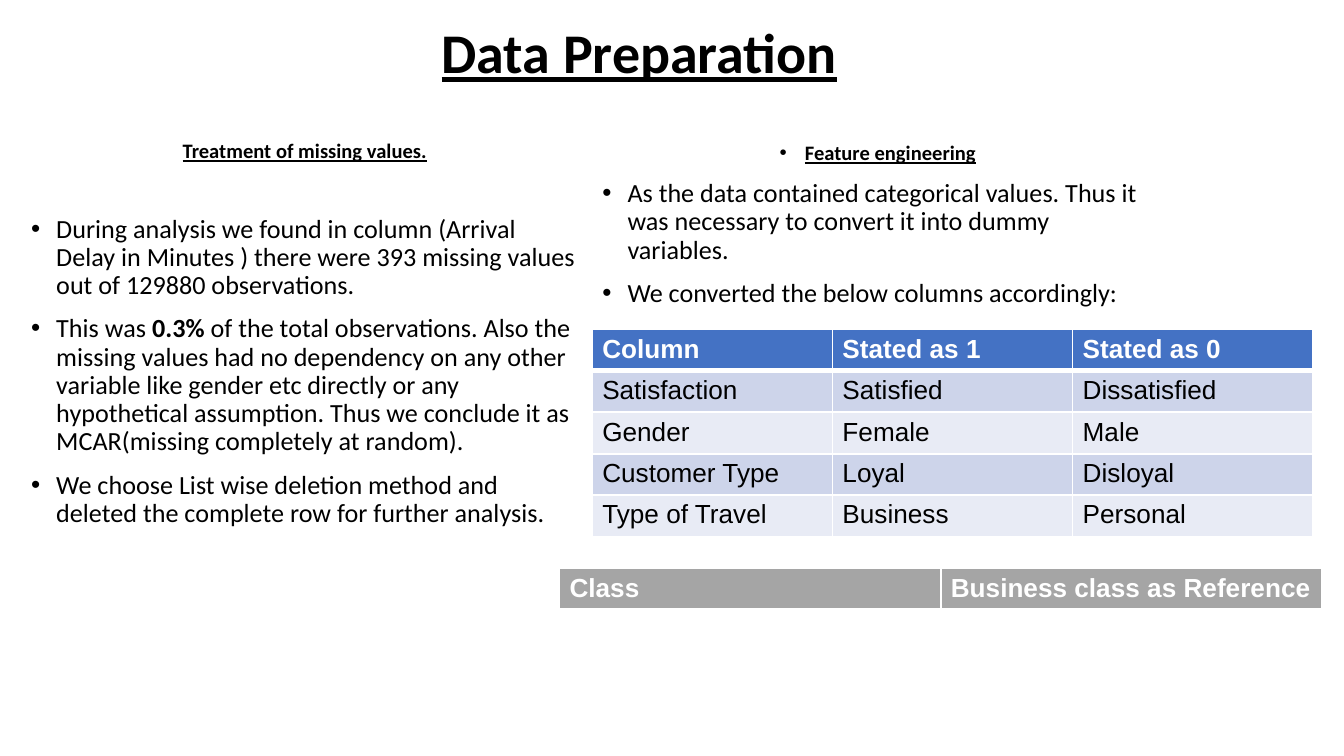
from lxml.etree import SubElement
from pptx import Presentation
from pptx.dml.color import RGBColor
from pptx.enum.text import MSO_ANCHOR as ANCHOR, PP_ALIGN as ALIGN
from pptx.oxml.ns import qn
from pptx.util import Emu, Pt

PX = 5715  # 160 px to the inch
BLACK = RGBColor(0x00, 0x00, 0x00)
WHITE = RGBColor(0xFF, 0xFF, 0xFF)
BLUE = RGBColor(0x44, 0x72, 0xC4)
BAND_DARK = RGBColor(0xCD, 0xD4, 0xEA)
BAND_LIGHT = RGBColor(0xE8, 0xEB, 0xF5)
GRAY = RGBColor(0xA5, 0xA5, 0xA5)

MISSING_VALUES = [
    "During analysis we found in column (Arrival Delay in Minutes ) there were "
    "393 missing values out of 129880 observations.",
    "This was **0.3%** of the total observations. Also the missing values had no "
    "dependency on any other variable like gender etc directly or any hypothetical "
    "assumption. Thus we conclude it as MCAR(missing completely at random).",
    "We choose List wise deletion method and deleted the complete row for "
    "further analysis.",
]
FEATURES = [
    "As the data contained categorical values. Thus it was necessary to convert "
    "it into dummy variables.",
    "We converted the below columns accordingly:",
]
CODING = [
    ["Column", "Stated as 1", "Stated as 0"],
    ["Satisfaction", "Satisfied", "Dissatisfied"],
    ["Gender", "Female", "Male"],
    ["Customer Type", "Loyal", "Disloyal"],
    ["Type of Travel", "Business", "Personal"],
]


def px(n):
    return Emu(n * PX)


class Deck:
    text_font, table_font = "Calibri", "Arial"
    heading_size, body_size = 11, 14
    indent, gap = 30, 8

    def __init__(self, width, height):
        self.prs = Presentation()
        self.prs.slide_width, self.prs.slide_height = px(width), px(height)
        self.s = self.prs.slides.add_slide(self.prs.slide_layouts[6])

    def style(self, r, font, size, color, bold=False, underline=False):
        r.font.name, r.font.size = font, Pt(size)
        r.font.color.rgb = color
        r.font.bold, r.font.underline = bold, underline

    def margins(self, holder):
        holder.margin_left = holder.margin_right = px(12)
        holder.margin_top = holder.margin_bottom = px(6)

    def textbox(self, x, y, w, h, anchor=ANCHOR.TOP):
        tf = self.s.shapes.add_textbox(px(x), px(y), px(w), px(h)).text_frame
        tf.word_wrap, tf.vertical_anchor = True, anchor
        self.margins(tf)
        return tf

    def heading(self, tf, text, size, bullet=False):
        p = tf.paragraphs[0]
        p.text, p.alignment, p.line_spacing = text, ALIGN.CENTER, 0.9
        self.style(p.runs[0], self.text_font, size, BLACK, True, True)
        if bullet:
            self.bullet(p)

    def bullet(self, p):
        pPr = p._p.get_or_add_pPr()
        pPr.set("marL", str(px(self.indent)))
        pPr.set("indent", str(-px(self.indent)))
        color = SubElement(pPr, qn("a:buClr"))
        SubElement(color, qn("a:srgbClr"), val=str(BLACK))
        SubElement(pPr, qn("a:buFont"), typeface="Arial")
        SubElement(pPr, qn("a:buChar"), char="•")

    def bullets(self, tf, items, first_gap):
        """Add bulleted paragraphs; text between ** marks is bold."""
        for i, item in enumerate(items):
            p = tf.add_paragraph()
            p.line_spacing = 0.9
            p.space_before = Pt(self.gap if i else first_gap)
            self.bullet(p)
            for j, part in enumerate(item.split("**")):
                r = p.add_run()
                r.text = part
                self.style(r, self.text_font, self.body_size, BLACK, j % 2 == 1)

    def title(self, text, x, y, w, h):
        self.heading(self.textbox(x, y, w, h, ANCHOR.MIDDLE), text, 30)

    def section(self, head, items, x, y, w, h, first_gap=gap, bullet=False):
        tf = self.textbox(x, y, w, h)
        self.heading(tf, head, self.heading_size, bullet)
        self.bullets(tf, items, first_gap)

    def borders(self, cell, bottom):
        tcPr = cell._tc.get_or_add_tcPr()
        for side, width in (("L", 1), ("R", 1), ("T", 1), ("B", bottom)):
            ln = SubElement(tcPr, qn(f"a:ln{side}"), w=str(Pt(width)))
            fill = SubElement(ln, qn("a:solidFill"))
            SubElement(fill, qn("a:srgbClr"), val=str(WHITE))

    def table(self, rows, x, y, col_w, row_h, head_fill):
        n_rows, n_cols = len(rows), len(rows[0])
        table = self.s.shapes.add_table(n_rows, n_cols, px(x), px(y),
                                        px(col_w * n_cols), px(row_h * n_rows)).table
        for i, row in enumerate(rows):
            head = i == 0
            fill = head_fill if head else (BAND_LIGHT, BAND_DARK)[i % 2]
            for j, text in enumerate(row):
                cell = table.cell(i, j)
                self.margins(cell)
                self.borders(cell, 3 if head else 1)
                cell.fill.solid()
                cell.fill.fore_color.rgb = fill
                cell.text_frame.text = text
                self.style(cell.text_frame.paragraphs[0].runs[0], self.table_font,
                           self.body_size, WHITE if head else BLACK, head)


def main():
    deck = Deck(1600, 900)
    deck.title("Data Preparation", 478, 13, 566, 107)
    deck.section("Treatment of missing values.", MISSING_VALUES,
                 25, 162, 676, 571, first_gap=28)
    deck.section("Feature engineering", FEATURES, 705, 164, 680, 571, bullet=True)
    deck.table(CODING, 705, 392, 286, 48, BLUE)
    deck.table([["Class", "Business class as Reference"]], 666, 677, 454, 50, GRAY)
    deck.prs.save("out.pptx")


if __name__ == "__main__":
    main()
